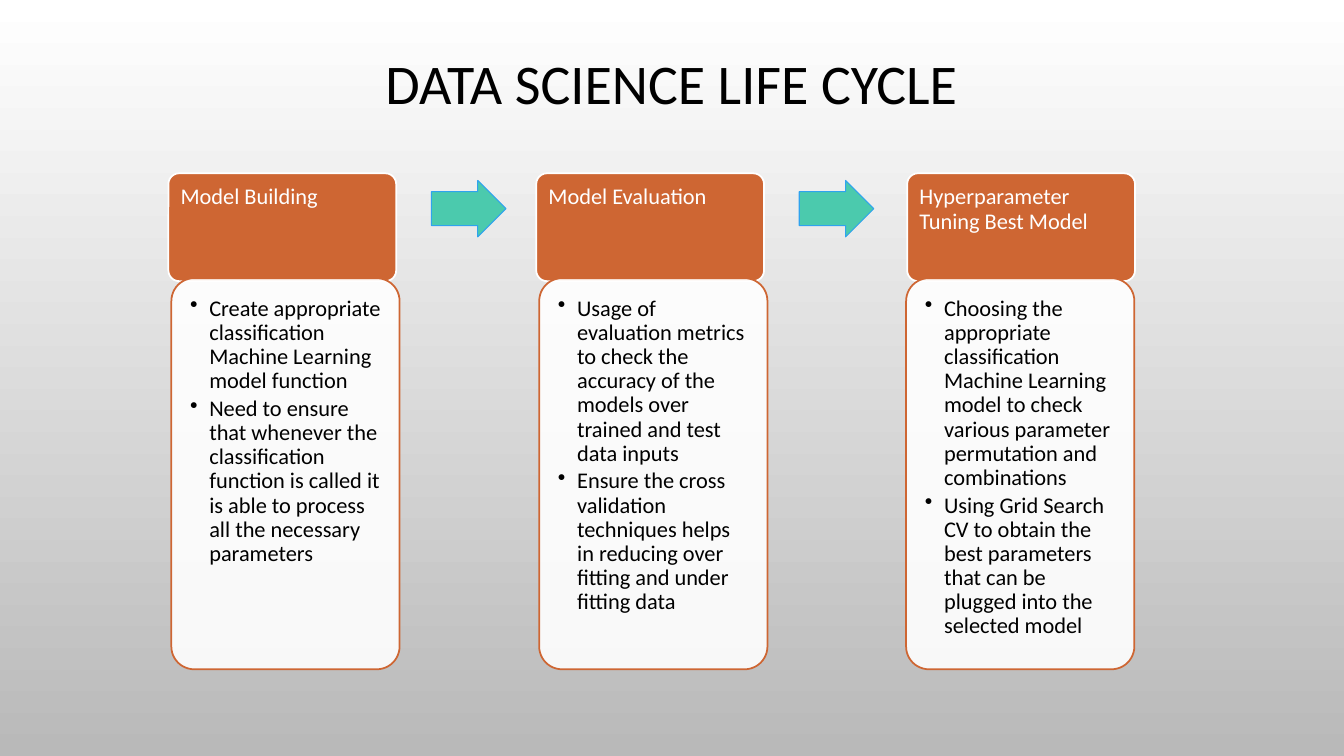
from lxml import etree
from pptx import Presentation
from pptx import util as u
from pptx.dml import color
from pptx.enum import shapes, text
from pptx.oxml import ns

COLORS = {
    "white": "FFFFFF",
    "grey": "B9B9B9",
    "black": "000000",
    "orange": "CE6633",
    "teal": "4BCAAD",
    "blue": "2FA3EE",
}

STAGES = [
    (12.53, 12.75, "Model Building", [
        "Create appropriate classification Machine Learning model function",
        "Need to ensure that whenever the classification function is called "
        "it is able to process all the necessary parameters",
    ]),
    (39.9, 40.12, "Model Evaluation", [
        "Usage of evaluation metrics to check the accuracy of the models over "
        "trained and test data inputs",
        "Ensure the cross validation techniques helps in reducing over fitting "
        "and under fitting data",
    ]),
    (67.5, 67.42, "Hyperparameter Tuning Best Model", [
        "Choosing the appropriate classification Machine Learning model to check "
        "various parameter permutation and combinations",
        "Using Grid Search CV to obtain the best parameters that can be plugged "
        "into the selected model",
    ]),
]
ARROW_LEFTS = [32.1, 59.47]


def rgb(name):
    return color.RGBColor.from_string(COLORS[name])


class SlideBuilder:
    """Draws styled elements on one slide, placed in percent of its width and height."""

    font = "Calibri"
    body_size = 16
    title_size = 40

    def __init__(self, deck):
        self.deck = deck
        self.page = deck.slides.add_slide(deck.slide_layouts[6])

    def place(self, left, top, width, height):
        across, down = self.deck.slide_width / 100, self.deck.slide_height / 100
        return [round(n) for n in (left * across, top * down, width * across, height * down)]

    def background(self, top, bottom):
        fill = self.page.background.fill
        fill.gradient()
        fill.gradient_angle = 270
        for stop, name in zip(fill.gradient_stops, (top, bottom)):
            stop.color.rgb = rgb(name)

    def shape(self, kind, area, fill, line, weight, adjustments):
        box = self.page.shapes.add_shape(kind, *self.place(*area))
        box.shadow.inherit = False
        box.fill.solid()
        box.fill.fore_color.rgb = rgb(fill)
        box.line.color.rgb = rgb(line)
        box.line.width = u.Pt(weight)
        for index, value in enumerate(adjustments):
            box.adjustments[index] = value
        return box

    def set_text(self, box, lines, size, ink, align, anchor, after=0):
        frame = box.text_frame
        frame.word_wrap = True
        frame.vertical_anchor = anchor
        frame.text = "\n".join(lines)
        for para in frame.paragraphs:
            para.alignment = align
            para.line_spacing = 0.9
            para.space_after = u.Pt(after)
            for span in para.runs:
                span.font.name = self.font
                span.font.size = u.Pt(size)
                span.font.color.rgb = rgb(ink)
        return frame

    def inset(self, frame, size):
        frame.margin_left = frame.margin_right = u.Inches(size)
        frame.margin_top = frame.margin_bottom = u.Inches(size)

    def title(self, words, area):
        box = self.page.shapes.add_textbox(*self.place(*area))
        self.set_text(box, [words], self.title_size, "black",
                      text.PP_ALIGN.CENTER, text.MSO_ANCHOR.BOTTOM)

    def header(self, words, area):
        box = self.shape(shapes.MSO_SHAPE.ROUNDED_RECTANGLE, area,
                         "orange", "white", 1.25, [0.1])
        frame = self.set_text(box, [words], self.body_size, "white",
                              text.PP_ALIGN.LEFT, text.MSO_ANCHOR.TOP)
        self.inset(frame, 0.09)

    def card(self, points, area):
        box = self.shape(shapes.MSO_SHAPE.ROUNDED_RECTANGLE, area,
                         "white", "orange", 1.25, [0.1])
        tint = box._element.spPr.find(ns.qn("a:solidFill")).find(ns.qn("a:srgbClr"))
        etree.SubElement(tint, ns.qn("a:alpha"), val="90000")
        frame = self.set_text(box, points, self.body_size, "black",
                              text.PP_ALIGN.LEFT, text.MSO_ANCHOR.TOP, after=2.4)
        self.inset(frame, 0.12)
        for para in frame.paragraphs:
            props = para._p.get_or_add_pPr()
            props.set("marL", str(u.Inches(0.19)))
            props.set("indent", str(-u.Inches(0.19)))
            etree.SubElement(props, ns.qn("a:buChar"), char="•")

    def arrow(self, area):
        self.shape(shapes.MSO_SHAPE.RIGHT_ARROW, area, "teal", "blue", 0.75, [0.6, 0.5])


def main():
    deck = Presentation()
    deck.slide_width, deck.slide_height = u.Inches(13.33), u.Inches(7.5)
    builder = SlideBuilder(deck)
    builder.background("white", "grey")
    builder.title("DATA SCIENCE LIFE CYCLE", (22.35, 6, 55.2, 10.13))
    for header_left, card_left, name, points in STAGES:
        builder.header(name, (header_left, 22.93, 16.95, 14.27))
        builder.card(points, (card_left, 36.8, 16.98, 51.73))
    for left in ARROW_LEFTS:
        builder.arrow((left, 23.87, 5.55, 7.47))
    deck.save("out.pptx")


if __name__ == "__main__":
    main()
